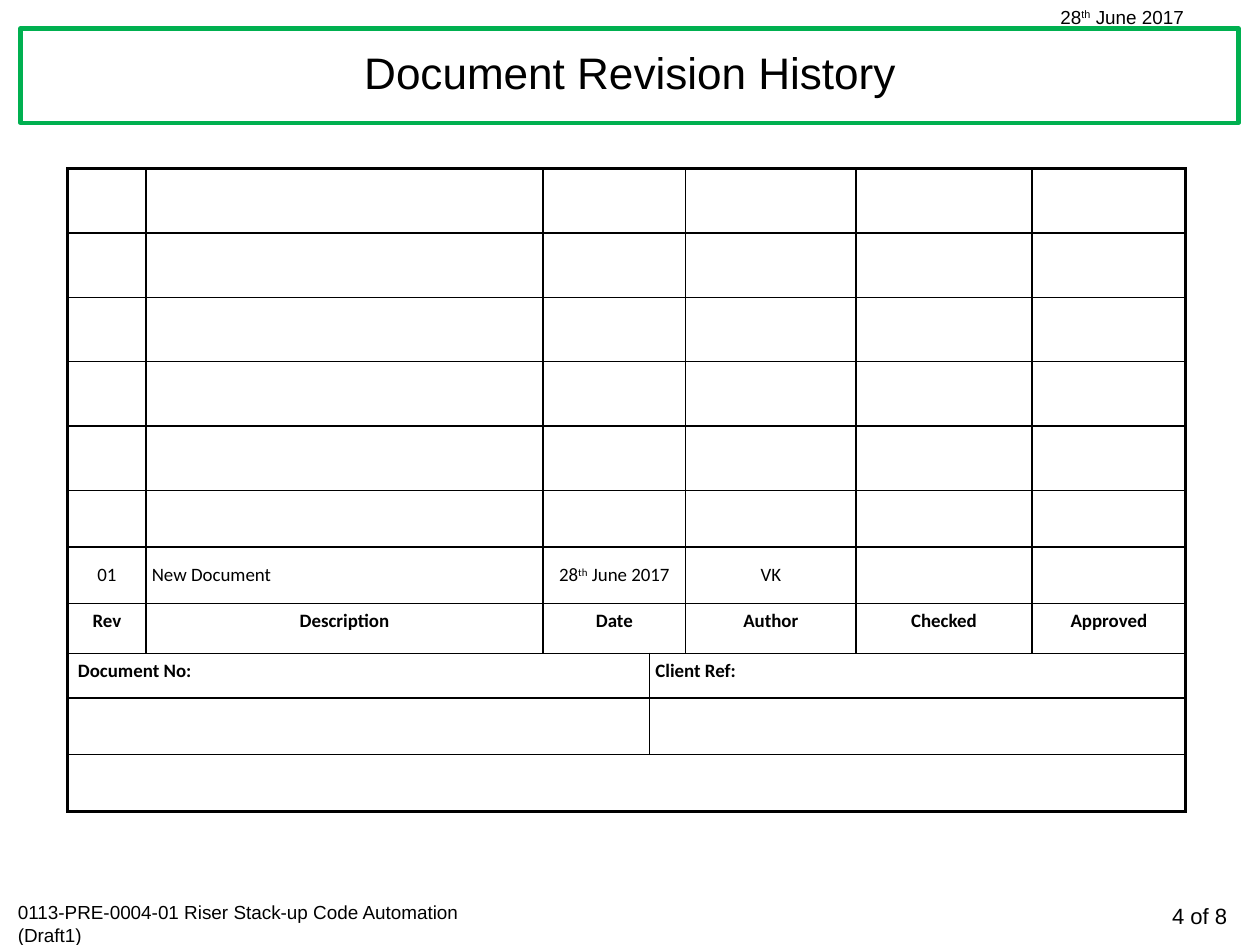
from lxml import etree
from pptx import Presentation
from pptx.dml.color import RGBColor
from pptx.enum.shapes import MSO_SHAPE
from pptx.enum.text import MSO_ANCHOR, PP_ALIGN
from pptx.oxml.ns import qn
from pptx.util import Cm, Pt

BLACK = RGBColor(0x00, 0x00, 0x00)
WHITE = RGBColor(0xFF, 0xFF, 0xFF)
GREEN = RGBColor(0x00, 0xB0, 0x50)
LEFT, CENTER, RIGHT = PP_ALIGN.LEFT, PP_ALIGN.CENTER, PP_ALIGN.RIGHT
TOP, MIDDLE = MSO_ANCHOR.TOP, MSO_ANCHOR.MIDDLE
THIN, THICK = Pt(1), Pt(2.25)
DATE = ["28", "th", " June 2017"]


def write(p, parts, size, font, align, bold=False):
    """Fill a paragraph with runs; the ordinal ending is raised."""
    p.alignment = align
    for part in parts:
        r = p.add_run()
        r.text = part
        r.font.size, r.font.name, r.font.bold = Pt(size), font, bold
        r.font.color.rgb = BLACK
        if part == "th":
            r._r.get_or_add_rPr().set("baseline", "30000")


def add_border(cell, side, width):
    ln = etree.SubElement(cell._tc.get_or_add_tcPr(), qn("a:" + side), w=str(width))
    fill = etree.SubElement(ln, qn("a:solidFill"))
    etree.SubElement(fill, qn("a:srgbClr"), val=str(BLACK))


prs = Presentation()
prs.slide_width, prs.slide_height = Cm(28.22), Cm(21.16)
s = prs.slides.add_slide(prs.slide_layouts[6])

# Title frame
sp = s.shapes.add_shape(MSO_SHAPE.RECTANGLE, Cm(0.46), Cm(0.64), Cm(27.28), Cm(2.11))
sp.shadow.inherit = False
sp.fill.solid()
sp.fill.fore_color.rgb = WHITE
sp.line.color.rgb = GREEN
sp.line.width = Pt(2.75)

# Page number, document name, date and title
footer = "0113-PRE-0004-01 Riser Stack-up Code Automation (Draft1)"
for x, y, w, h, parts, size, align, anchor in [
    (23.88, 20.09, 3.86, 0.86, ["4 of 8"], 14, RIGHT, TOP),
    (0.15, 20.04, 11.53, 1.1, [footer], 12, LEFT, TOP),
    (23.5, 0, 4.27, 0.76, DATE, 12, LEFT, TOP),
    (0.53, 0.56, 27.15, 2.11, ["Document Revision History"], 28, CENTER, MIDDLE),
]:
    tf = s.shapes.add_textbox(Cm(x), Cm(y), Cm(w), Cm(h)).text_frame
    tf.word_wrap = True
    tf.vertical_anchor = anchor
    write(tf.paragraphs[0], parts, size, "Arial", align)

# Revision table: the newest entry sits just above the headings
col_widths = [1.75, 8.89, 2.39, 0.81, 3.81, 3.94, 3.45]
row_heights = [1.44] * 5 + [1.27] * 2 + [1.11, 1] + [1.27] * 2
last_row, last_col = len(row_heights) - 1, len(col_widths) - 1
table = s.shapes.add_table(
    len(row_heights), len(col_widths), Cm(1.52), Cm(3.78),
    Cm(sum(col_widths)), Cm(sum(row_heights))).table
table.first_row = table.horz_banding = False
for col, width in zip(table.columns, col_widths):
    col.width = Cm(width)
for row, height in zip(table.rows, row_heights):
    row.height = Cm(height)

# Merged cells
entry_rows = range(8)
spans = [(r, 2, 3) for r in entry_rows]
spans += [(r, a, b) for r in (8, 9) for a, b in ((0, 2), (3, last_col))]
spans.append((last_row, 0, last_col))
for row, first, last in spans:
    table.cell(row, first).merge(table.cell(row, last))

# Borders and margins
for r in range(last_row + 1):
    for c in range(last_col + 1):
        cell = table.cell(r, c)
        cell.margin_left = cell.margin_right = Cm(0.13)
        cell.margin_top = cell.margin_bottom = Cm(0.13)
        for side, outer in (("lnL", c == 0), ("lnR", c == last_col),
                            ("lnT", r == 0), ("lnB", r == last_row)):
            add_border(cell, side, THICK if outer else THIN)
        if cell.is_merge_origin and cell.span_width == last_col + 1:
            cell._tc.tcPr.find(qn("a:lnR")).set("w", str(THICK))
        elif cell.is_merge_origin and c + cell.span_width > last_col:
            cell._tc.tcPr.find(qn("a:lnR")).set("w", str(THICK))
        cell.fill.background()

# Cell texts: row, anchor, bold, then column, parts, alignment
for row, anchor, bold, entries in [
    (6, MIDDLE, False, [(0, ["01"], CENTER), (1, ["New Document"], LEFT),
                        (2, DATE, CENTER), (4, ["VK"], CENTER)]),
    (7, TOP, True, [(c, [text], CENTER) for c, text in (
        (0, "Rev"), (1, "Description"), (2, "Date"),
        (4, "Author"), (5, "Checked"), (6, "Approved"))]),
    (8, TOP, True, [(0, [" Document No:"], LEFT), (3, ["Client Ref:"], LEFT)]),
]:
    for c, parts, align in entries:
        cell = table.cell(row, c)
        cell.vertical_anchor = anchor
        write(cell.text_frame.paragraphs[0], parts, 12, "Calibri", align, bold)

prs.save("out.pptx")
